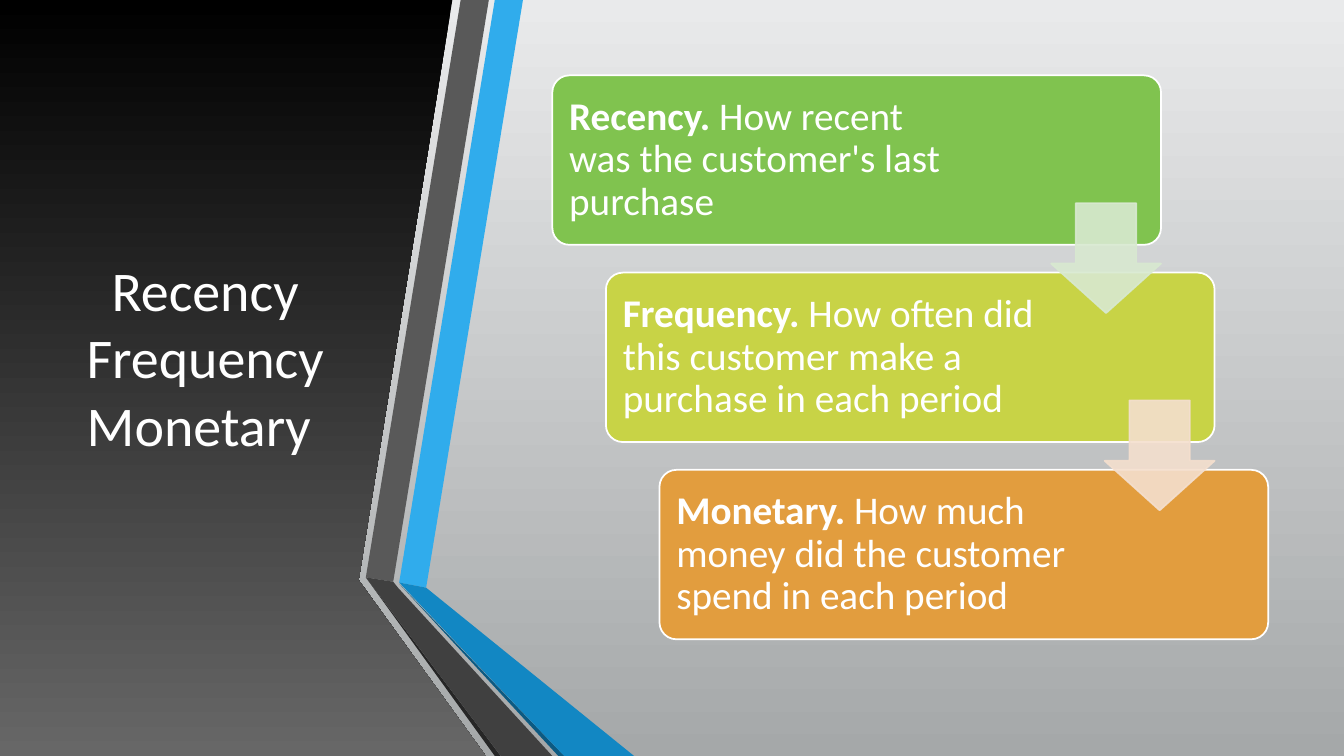
from lxml import etree
from pptx import Presentation
from pptx import util as u
from pptx.dml.color import RGBColor
from pptx.enum import shapes, text
from pptx.oxml import ns

FONT = "Calibri"
SLIDE_WIDTH, SLIDE_HEIGHT = 33.87, 19.05
COLOURS = {
    "white": "FFFFFF",
    "backdrop_top": "E9EAEB",
    "backdrop_bottom": "A5A8A9",
    "panel_top": "000000",
    "panel_bottom": "676767",
    "blue": "30ACEC",
    "blue_fold": "1287C3",
    "blue_shade": "0C5A82",
    "grey": "595959",
    "grey_fold": "404040",
    "grey_shade": "262626",
    "green": "80C34F",
    "lime": "C8D346",
    "orange": "E29D3E",
    "pale_green": "D8E9D0",
    "pale_orange": "F4DFCE",
}
PANEL = [(0, 0), (11.4, 0), (9.04, 14.62), (12.24, 19.05), (0, 19.05)]
RIBBONS = [
    ("blue", [(0.84, 14.68), (1.52, 14.81), (3.96, 0), (3.25, 0)]),
    ("grey", [(3.1, 0), (2.39, 0), (0, 14.55), (0.69, 14.66)]),
    ("grey_shade", [(0, 14.55), (3.25, 19.05), (3.4, 19.05)]),
    ("blue_shade", [(0.84, 14.71), (4.85, 19.05), (5, 19.05)]),
    ("blue_fold", [(0.84, 14.68), (5, 19.05), (6.76, 19.05), (1.52, 14.81)]),
    ("grey_fold", [(4.7, 19.05), (0.81, 14.81), (0.69, 14.66), (0, 14.55), (3.4, 19.05)]),
]
STEPS = [
    ("Recency.", " How recent was the customer's last purchase", "green", 4.7),
    ("Frequency.", " How often did this customer make a purchase in each period", "lime", 4.4),
    ("Monetary.", " How much money did the customer spend in each period", "orange", 4.4),
]
ARROWS = ["pale_green", "pale_orange"]


def colour(name):
    return RGBColor.from_string(COLOURS[name])


def fill_gradient(fill, top, bottom):
    fill.gradient()
    fill.gradient_angle = 270
    for stop, name in zip(fill.gradient_stops, (top, bottom)):
        stop.color.rgb = colour(name)


def format_run(run, size, bold=False):
    run.font.name = FONT
    run.font.size = u.Pt(size)
    run.font.bold = bold
    run.font.color.rgb = colour("white")


def add_outline(slide, left, top, points):
    corners = [(u.Cm(left + x), u.Cm(top + y)) for x, y in points]
    builder = slide.shapes.build_freeform(*corners[0])
    builder.add_line_segments(corners[1:], close=True)
    shape = builder.convert_to_shape()
    shape.shadow.inherit = False
    shape.line.fill.background()
    return shape


def add_block(slide, preset, left, top, width, height, fill, line):
    shape = slide.shapes.add_shape(preset, u.Cm(left), u.Cm(top), u.Cm(width), u.Cm(height))
    shape.shadow.inherit = False
    shape.fill.solid()
    shape.fill.fore_color.rgb = colour(fill)
    shape.line.color.rgb = colour(line)
    shape.line.width = u.Pt(1.25)
    return shape


def add_title_panel(slide, left, top):
    panel = add_outline(slide, left, top, PANEL)
    fill_gradient(panel.fill, "panel_top", "panel_bottom")
    title = slide.shapes.title
    panel._element.addnext(title._element)
    title.left, title.top = u.Cm(left + 1.5), u.Cm(top + 1.9)
    title.width, title.height = u.Cm(7.34), u.Cm(14.17)
    frame = title.text_frame
    frame.text = "Recency Frequency Monetary "
    frame.word_wrap = True
    frame.auto_size = text.MSO_AUTO_SIZE.NONE
    frame.vertical_anchor = text.MSO_ANCHOR.MIDDLE
    paragraph = frame.paragraphs[0]
    paragraph.alignment = text.PP_ALIGN.CENTER
    paragraph.line_spacing = 1.0
    format_run(paragraph.runs[0], 40)


def add_ribbons(slide, left, top):
    for name, points in RIBBONS:
        ribbon = add_outline(slide, left, top, points)
        ribbon.fill.solid()
        ribbon.fill.fore_color.rgb = colour(name)


def add_card(slide, left, top, width, height, heading, detail, fill, right_inset):
    card = add_block(slide, shapes.MSO_SHAPE.ROUNDED_RECTANGLE,
                     left, top, width, height, fill, "white")
    card.adjustments[0] = 0.1
    frame = card.text_frame
    frame.word_wrap = True
    frame.vertical_anchor = text.MSO_ANCHOR.MIDDLE
    frame.margin_left = frame.margin_top = frame.margin_bottom = u.Cm(0.3)
    frame.margin_right = u.Cm(right_inset)
    paragraph = frame.paragraphs[0]
    paragraph.text = heading
    paragraph.add_run().text = detail
    paragraph.alignment = text.PP_ALIGN.LEFT
    paragraph.line_spacing = 0.9
    for run, bold in zip(paragraph.runs, (True, False)):
        format_run(run, 28, bold)


def add_arrow(slide, left, top, size, name):
    arrow = add_block(slide, shapes.MSO_SHAPE.DOWN_ARROW, left, top, size, size, name, name)
    arrow.adjustments[0] = 0.55
    arrow.adjustments[1] = 0.45
    for tint in arrow._element.spPr.iter(ns.qn("a:srgbClr")):
        etree.SubElement(tint, ns.qn("a:alpha")).set("val", "90000")


def add_staircase(slide, left, top):
    width, height, arrow_size = 15.34, 4.27, 2.77
    shift, pitch = 1.35, 4.97
    for index, step in enumerate(STEPS):
        add_card(slide, left + index * shift, top + index * pitch, width, height, *step)
    for index, name in enumerate(ARROWS):
        add_arrow(slide, left + index * shift + width - arrow_size,
                  top + index * pitch + 3.22, arrow_size, name)


def main():
    presentation = Presentation()
    presentation.slide_width = u.Cm(SLIDE_WIDTH)
    presentation.slide_height = u.Cm(SLIDE_HEIGHT)
    slide = presentation.slides.add_slide(presentation.slide_layouts.get_by_name("Title Only"))
    fill_gradient(slide.background.fill, "backdrop_top", "backdrop_bottom")
    add_title_panel(slide, 0, 0)
    add_ribbons(slide, 9.22, 0)
    add_staircase(slide, 13.92, 1.9)
    presentation.save("out.pptx")


if __name__ == "__main__":
    main()
